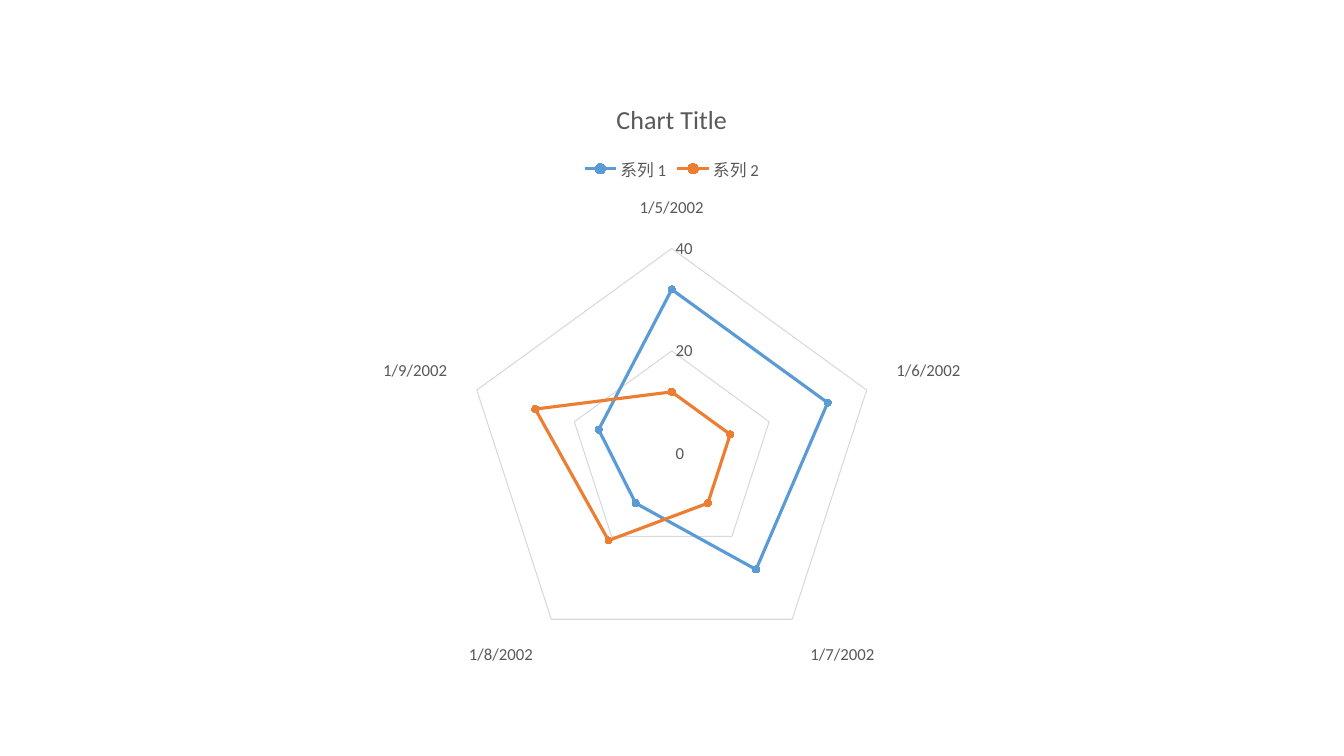
from pptx import Presentation
from pptx.chart.data import CategoryChartData
from pptx.dml.color import RGBColor
from pptx.enum.chart import XL_CHART_TYPE, XL_LEGEND_POSITION, XL_MARKER_STYLE, XL_TICK_MARK
from pptx.util import Cm, Pt

BLUE = RGBColor(0x5B, 0x9B, 0xD5)
ORANGE = RGBColor(0xED, 0x7D, 0x31)
GREY = RGBColor(0x59, 0x59, 0x59)
GRID = RGBColor(0xD9, 0xD9, 0xD9)

FIRST_DAY = 37261
DATE_FORMAT = "m/d/yyyy"
SERIES = [
    ("系列 1", (32, 32, 28, 12, 15), BLUE),
    ("系列 2", (12, 12, 12, 21, 28), ORANGE),
]


class SlideBuilder:
    def __init__(self, prs, font="Calibri"):
        self.font = font
        self.slide = prs.slides.add_slide(prs.slide_layouts[6])

    def style_font(self, font, size):
        font.name = self.font
        font.size = Pt(size)
        font.color.rgb = GREY
        font.bold = False

    def style_line(self, line, color, width):
        line.color.rgb = color
        line.width = Pt(width)

    def radar(self, left, top, width, height, days, series):
        data = CategoryChartData()
        data.categories = days
        data.categories.number_format = DATE_FORMAT
        for name, values, _ in series:
            data.add_series(name, values)
        chart = self.slide.shapes.add_chart(
            XL_CHART_TYPE.RADAR_MARKERS, Cm(left), Cm(top), Cm(width), Cm(height), data
        ).chart
        chart.font.name = self.font
        chart.font.size = Pt(10)
        for s, (_, _, color) in zip(chart.plots[0].series, series):
            s.smooth = False
            self.style_line(s.format.line, color, 2.25)
            s.marker.style = XL_MARKER_STYLE.CIRCLE
            s.marker.size = 5
            s.marker.format.fill.solid()
            s.marker.format.fill.fore_color.rgb = color
            self.style_line(s.marker.format.line, color, 0.75)
        return chart

    def title(self, chart, text, size):
        chart.has_title = True
        p = chart.chart_title.text_frame.paragraphs[0]
        r = p.add_run()
        r.text = text
        self.style_font(r.font, size)
        chart.chart_title.include_in_layout = False

    def legend(self, chart, size):
        chart.has_legend = True
        chart.legend.position = XL_LEGEND_POSITION.TOP
        chart.legend.include_in_layout = False
        self.style_font(chart.legend.font, size)

    def axes(self, chart, size, maximum, step):
        cat, val = chart.category_axis, chart.value_axis
        for axis in (cat, val):
            axis.major_tick_mark = XL_TICK_MARK.NONE
            axis.minor_tick_mark = XL_TICK_MARK.NONE
            axis.has_major_gridlines = True
            self.style_line(axis.major_gridlines.format.line, GRID, 0.75)
            self.style_font(axis.tick_labels.font, size)
        cat.tick_labels.number_format = DATE_FORMAT
        cat.tick_labels.number_format_is_linked = False
        self.style_line(cat.format.line, GRID, 0.75)
        val.format.line.fill.background()
        val.minimum_scale = 0
        val.maximum_scale = maximum
        val.major_unit = step


def main():
    prs = Presentation()
    prs.slide_width = Cm(33.87)
    prs.slide_height = Cm(19.05)
    s = SlideBuilder(prs)
    days = [FIRST_DAY + i for i in range(5)]
    chart = s.radar(5.64, 2, 22.58, 15.05, days, SERIES)
    s.title(chart, "Chart Title", 18.6)
    s.legend(chart, 12)
    s.axes(chart, 12, 40, 20)
    prs.save("out.pptx")


if __name__ == "__main__":
    main()
